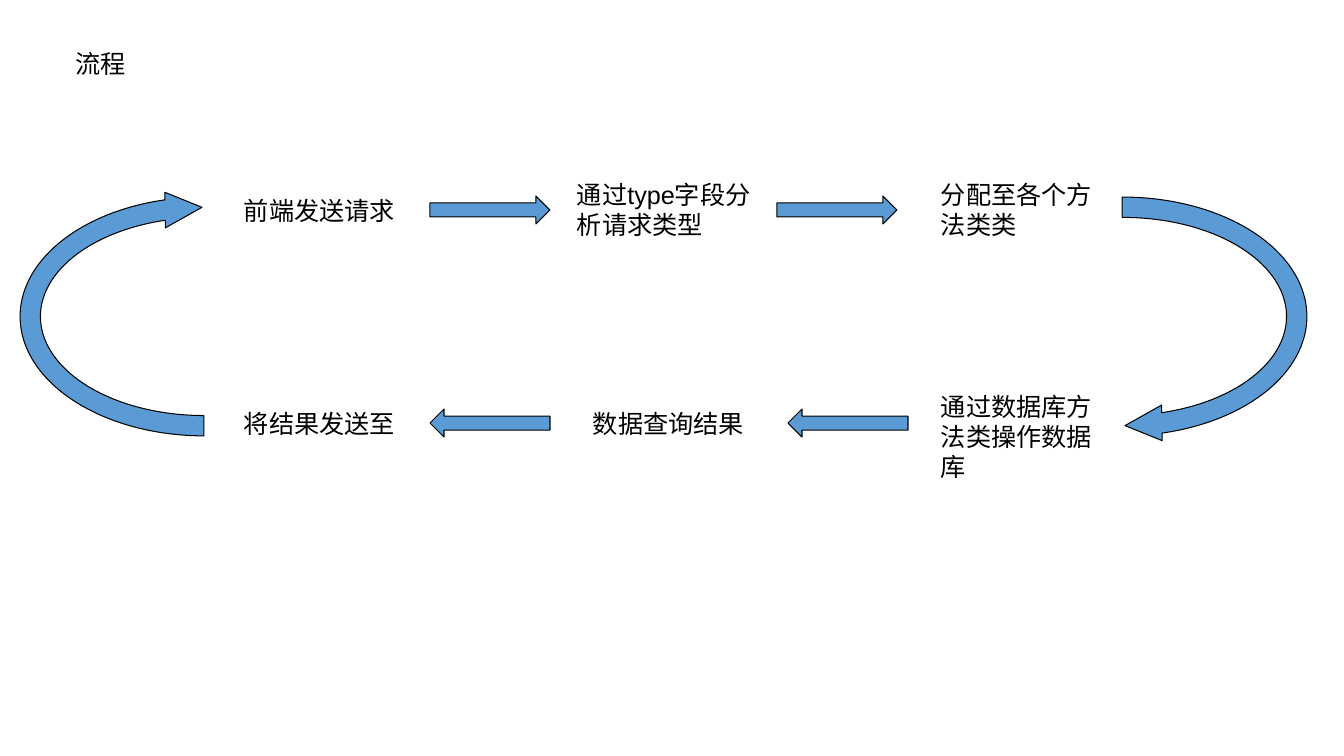
import pptx
import pptx.util
import pptx.dml.color
import pptx.enum.shapes
import pptx.enum.text

SHAPE = pptx.enum.shapes.MSO_SHAPE
COLORS = {"text": "000000", "arrow": "5B9BD5", "outline": "000000"}
EMU_PER_PX = 914400 / 100.8


def px(n):
    return pptx.util.Emu(round(n * EMU_PER_PX))


def rgb(name):
    return pptx.dml.color.RGBColor.from_string(COLORS[name])


def write(tf, text, size=18, font="Arial", color="text",
          align=pptx.enum.text.PP_ALIGN.LEFT):
    tf.word_wrap = True
    tf.auto_size = pptx.enum.text.MSO_AUTO_SIZE.NONE
    tf.vertical_anchor = pptx.enum.text.MSO_ANCHOR.TOP
    p = tf.paragraphs[0]
    p.alignment = align
    r = p.add_run()
    r.text = text
    r.font.size = pptx.util.Pt(size)
    r.font.name = font
    r.font.color.rgb = rgb(color)


class FlowSlide:
    def __init__(self, prs):
        self.s = prs.slides.add_slide(prs.slide_layouts[5])

    def title(self, text, x, y, w, h):
        sp = self.s.shapes.title
        sp.left, sp.top, sp.width, sp.height = map(px, (x, y, w, h))
        write(sp.text_frame, text)

    def step(self, text, x, y, w, lines=1):
        h = 40 + 31 * (lines - 1)
        sp = self.s.shapes.add_textbox(*map(px, (x, y, w, h)))
        write(sp.text_frame, text)

    def arrow(self, kind, x, y, w, h, rotation=0, adjustments=()):
        sp = self.s.shapes.add_shape(kind, *map(px, (x, y, w, h)))
        sp.rotation = rotation
        for i, value in enumerate(adjustments):
            sp.adjustments[i] = value
        sp.shadow.inherit = False
        sp.fill.solid()
        sp.fill.fore_color.rgb = rgb("arrow")
        sp.line.color.rgb = rgb("outline")
        sp.line.width = pptx.util.Pt(0.75)


prs = pptx.Presentation()
prs.slide_width, prs.slide_height = px(1344), px(756)
flow = FlowSlide(prs)

flow.title("流程", 65, 43, 968, 40)

# Steps of the loop, clockwise: text, left, top, width, lines
for step in [
    ("前端发送请求", 234, 190, 179, 1),
    ("通过type字段分析请求类型", 567, 174, 211, 2),
    ("分配至各个方法类类", 931, 174, 179, 2),
    ("通过数据库方法类操作数据库", 931, 386, 179, 3),
    ("数据查询结果", 583, 403, 179, 1),
    ("将结果发送至", 234, 403, 179, 1),
]:
    flow.step(*step)

# Straight arrows: rightward on the upper row, leftward on the lower row
for y, rotation, lefts in [(196, 0, (430, 777)), (409, 180, (788, 430))]:
    for x in lefts:
        flow.arrow(SHAPE.RIGHT_ARROW, x, y, 120, 28, rotation)

# Curved arrows that join the two rows
for x, rotation, start in [(996, 90, 107.72), (77, 270, 108.01)]:
    flow.arrow(SHAPE.CIRCULAR_ARROW, x, 125, 254, 383, rotation,
               (0.08, 11.42, 203.96, start, 0.07))

prs.save("out.pptx")
